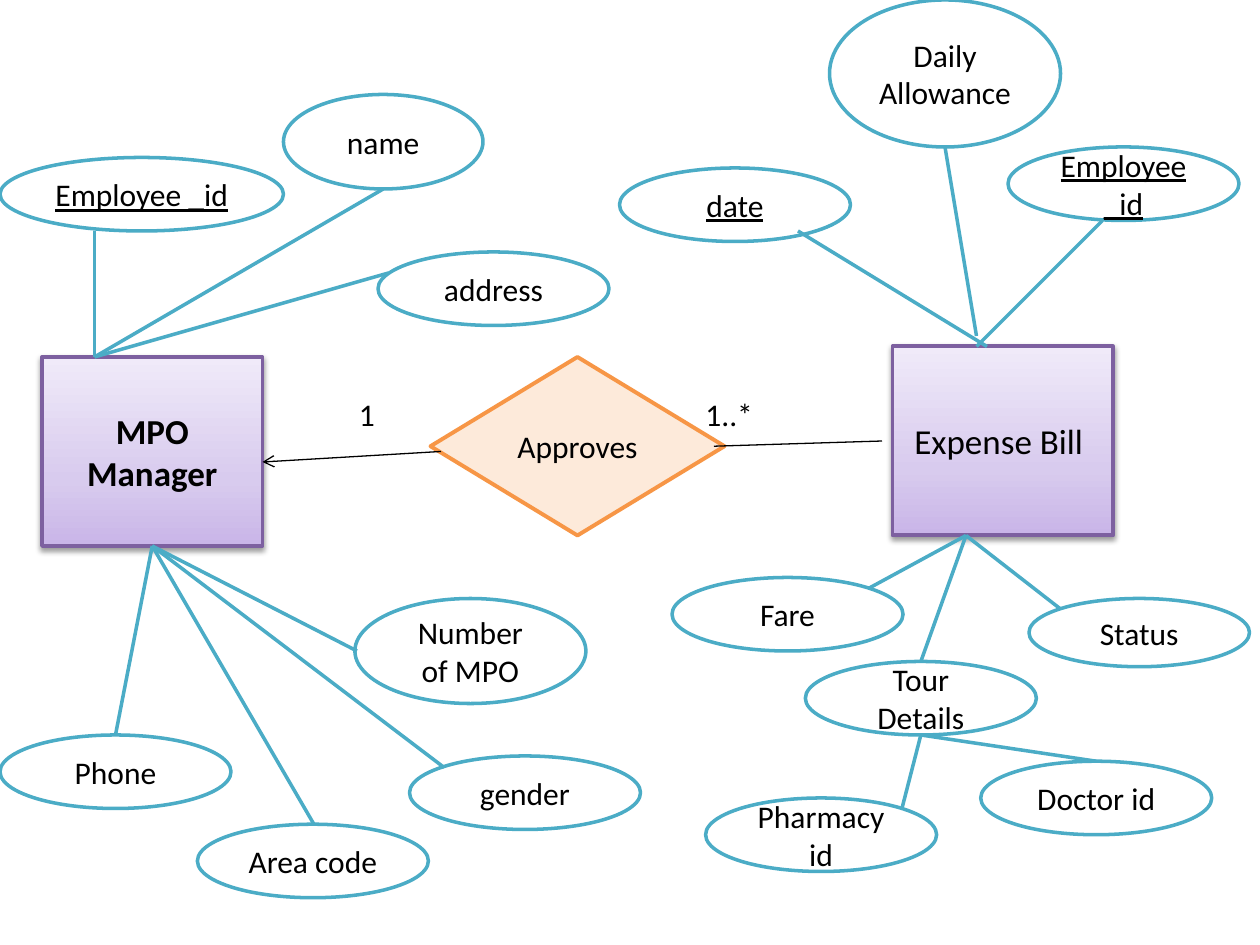
from copy import deepcopy
from dataclasses import dataclass

from lxml import etree
from pptx import Presentation
from pptx.dml.color import RGBColor
from pptx.enum.shapes import MSO_CONNECTOR, MSO_SHAPE
from pptx.enum.text import MSO_ANCHOR, PP_ALIGN
from pptx.oxml.ns import qn
from pptx.util import Inches, Pt

RECTANGLE = MSO_SHAPE.RECTANGLE
ELLIPSE = MSO_SHAPE.OVAL
DECISION = MSO_SHAPE.FLOWCHART_DECISION
STRAIGHT = MSO_CONNECTOR.STRAIGHT
CENTER, LEFT = PP_ALIGN.CENTER, PP_ALIGN.LEFT
MIDDLE, TOP = MSO_ANCHOR.MIDDLE, MSO_ANCHOR.TOP


@dataclass(frozen=True)
class Theme:
    font: str = "Calibri"
    text: str = "000000"
    paper: str = "FFFFFF"
    attribute_line: str = "4BACC6"
    entity_line: str = "7D60A0"
    entity_stops: tuple = ((0, "C9B5E8"), (0.35, "D8CBEE"), (1, "F0EAF9"))
    relation_fill: str = "FDEADA"
    relation_line: str = "F79646"
    entity_size: int = 20
    label_size: int = 18
    thick: float = 2.25
    medium: float = 2
    thin: float = 0.75


class Diagram:
    """Draws on one slide; lengths are cells of a 120 by 90 grid."""

    def __init__(self, slide, theme):
        self.slide = slide
        self.theme = theme

    def cells(self, *values):
        return [Inches(value / 12) for value in values]

    def label(self, shape, text, size, align=CENTER, anchor=MIDDLE,
              bold=False, underline=False):
        frame = shape.text_frame
        frame.word_wrap = True
        frame.vertical_anchor = anchor
        paragraph = frame.paragraphs[0]
        paragraph.text = text
        paragraph.alignment = align
        font = paragraph.font
        font.name, font.size = self.theme.font, Pt(size)
        font.bold, font.underline = bold, underline
        font.color.rgb = RGBColor.from_string(self.theme.text)

    def outlined(self, kind, box, line_color, line_width):
        shape = self.slide.shapes.add_shape(kind, *self.cells(*box))
        shape.shadow.inherit = False
        shape.line.color.rgb = RGBColor.from_string(line_color)
        shape.line.width = Pt(line_width)
        return shape

    def entity(self, text, left, top, bold=False):
        theme = self.theme
        shape = self.outlined(RECTANGLE, (left, top, 21, 18), theme.entity_line, theme.thick)
        # Three-stop gradient running upwards
        shape.fill.gradient()
        shape.fill.gradient_angle = 90
        properties = shape._element.spPr
        stop_list = properties.find(qn("a:gradFill")).find(qn("a:gsLst"))
        stop_list.append(deepcopy(stop_list[-1]))
        for stop, (position, color) in zip(shape.fill.gradient_stops, theme.entity_stops):
            stop.position = position
            stop.color.rgb = RGBColor.from_string(color)
        # Soft shadow below
        shadow = etree.SubElement(
            properties.find(qn("a:effectLst")), qn("a:outerShdw"),
            blurRad=str(Pt(3.1)), dist=str(Pt(1.6)), dir="5400000", rotWithShape="0")
        shade = etree.SubElement(shadow, qn("a:srgbClr"), val=theme.text)
        etree.SubElement(shade, qn("a:alpha"), val="38000")
        self.label(shape, text, theme.entity_size, bold=bold)

    def relation(self, text, *box):
        theme = self.theme
        shape = self.outlined(DECISION, box, theme.relation_line, theme.thick)
        shape.fill.solid()
        shape.fill.fore_color.rgb = RGBColor.from_string(theme.relation_fill)
        self.label(shape, text, theme.label_size)

    def attribute(self, text, left, top, width=22, height=7, key=False):
        theme = self.theme
        shape = self.outlined(ELLIPSE, (left, top, width, height),
                              theme.attribute_line, theme.medium)
        shape.fill.solid()
        shape.fill.fore_color.rgb = RGBColor.from_string(theme.paper)
        self.label(shape, text, theme.label_size, underline=key)

    def cardinality(self, text, *box):
        shape = self.slide.shapes.add_textbox(*self.cells(*box))
        self.label(shape, text, self.theme.label_size, LEFT, TOP)

    def line(self, start, end, color, width, arrow=False):
        connector = self.slide.shapes.add_connector(STRAIGHT, *self.cells(*start, *end))
        connector.line.color.rgb = RGBColor.from_string(color)
        connector.line.width = Pt(width)
        properties = connector._element.spPr
        if arrow:
            etree.SubElement(properties.find(qn("a:ln")), qn("a:tailEnd"), type="arrow")
        etree.SubElement(properties, qn("a:effectLst"))

    def link(self, start, end, arrow=False):
        self.line(start, end, self.theme.text, self.theme.thin, arrow)

    def fan(self, hub, *ends):
        for end in ends:
            self.line(hub, end, self.theme.attribute_line, self.theme.medium)


def main():
    presentation = Presentation()
    presentation.slide_width, presentation.slide_height = Inches(10), Inches(7.5)
    slide = presentation.slides.add_slide(presentation.slide_layouts[6])
    diagram = Diagram(slide, Theme())

    # Entities and their relation
    diagram.entity("MPO Manager", 4, 34, bold=True)
    diagram.entity("Expense Bill ", 85, 33)
    diagram.relation("Approves", 41, 34, 28, 17)
    diagram.link((68, 42.5), (84, 42))
    diagram.link((42, 43), (25, 44), arrow=True)
    diagram.cardinality("1", 33, 37, 8, 4.8)
    diagram.cardinality("1..*", 66, 37, 7, 4.8)

    # Manager attributes
    diagram.attribute("Employee _id", 0, 15, width=27, key=True)
    diagram.attribute("name", 27, 9, width=19, height=9)
    diagram.attribute("address", 36, 24)
    diagram.attribute("Number of MPO", 33.8, 57, height=10)
    diagram.attribute("gender", 39, 72)
    diagram.attribute("Area code", 18.8, 78.5)
    diagram.attribute("Phone", 0, 70)

    # Expense bill attributes
    diagram.attribute("date", 59, 16, key=True)
    diagram.attribute("Daily Allowance", 79, 0, height=14)
    diagram.attribute("Employee_id", 96, 14, key=True)
    diagram.attribute("Fare", 64, 55)
    diagram.attribute("Status", 98, 57, width=21, height=6.5)
    diagram.attribute("Tour Details", 76.7, 63)
    diagram.attribute("Doctor id", 93.4, 72.5)
    diagram.attribute("Pharmacy id", 67.2, 76)

    # Lines from the manager
    diagram.fan((9, 34), (9, 22), (36.5, 18), (37, 26))
    diagram.fan((14.5, 52), (34, 62), (42.3, 73.1), (29.9, 78.5), (11, 70))

    # Lines from the expense bill and its tour details
    diagram.fan((93, 33), (105, 21))
    diagram.fan((93, 32), (90, 14))
    diagram.fan((94, 33), (76, 22))
    diagram.fan((92, 51), (82.8, 56), (87.7, 63), (101, 58))
    diagram.fan((87.7, 70), (104.4, 72.5), (85.9, 77))

    presentation.save("out.pptx")


if __name__ == "__main__":
    main()
